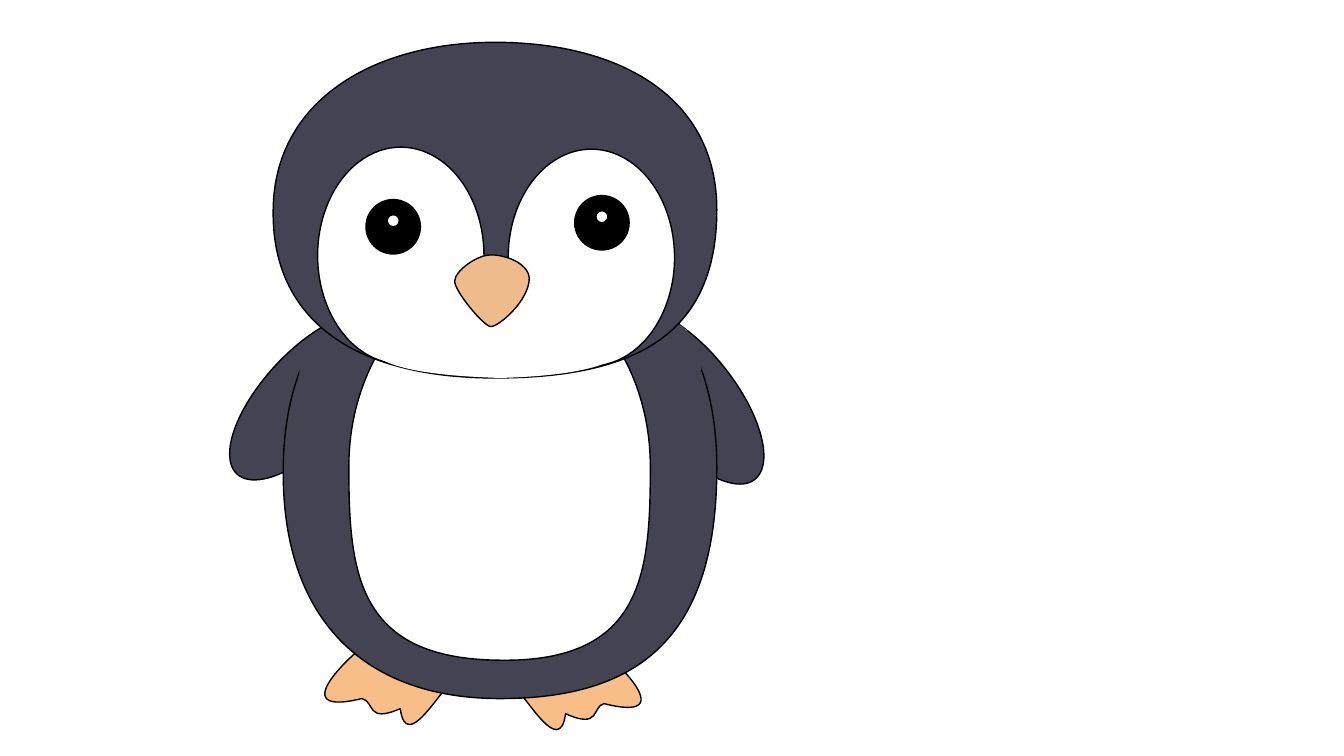
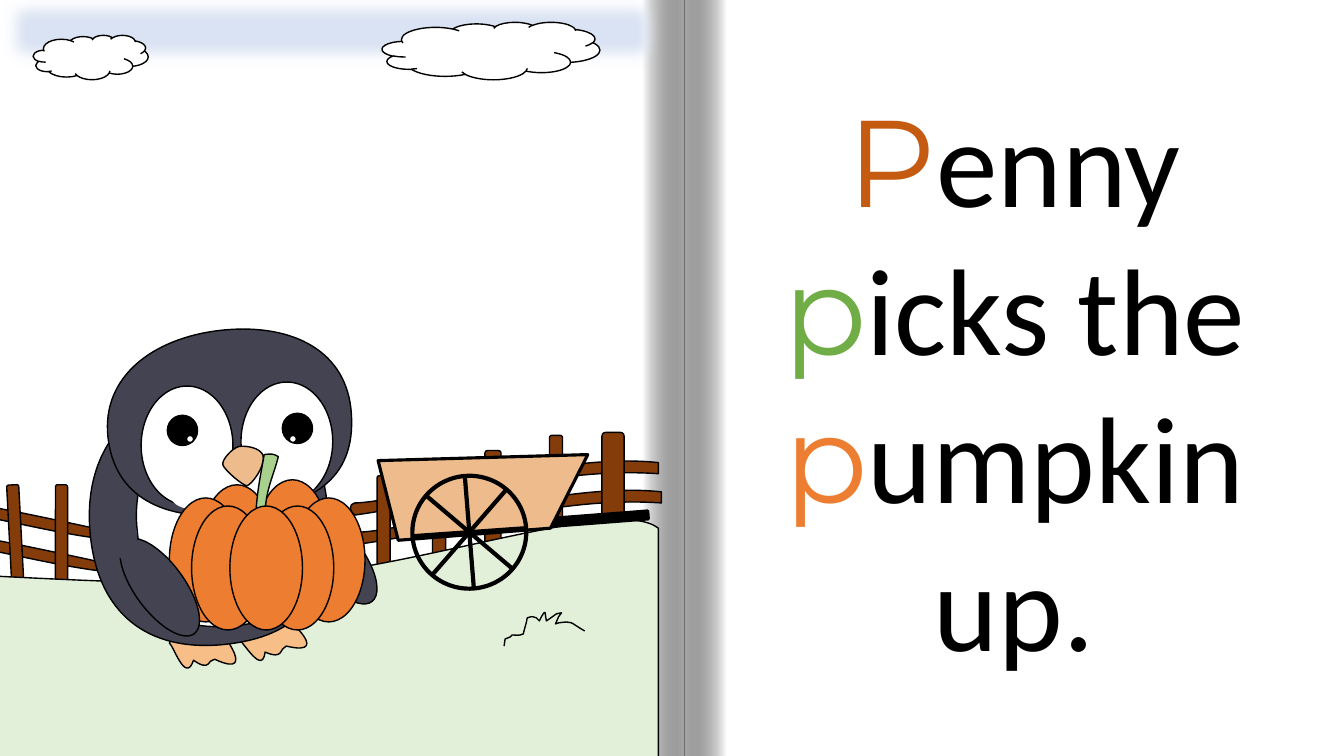
"""Build two storybook slides: a large penguin, and a penguin picking up a pumpkin."""
from lxml.etree import SubElement
from pptx import Presentation
from pptx.dml.color import RGBColor
from pptx.enum.shapes import MSO_CONNECTOR, MSO_SHAPE
from pptx.enum.text import MSO_ANCHOR, PP_ALIGN
from pptx.oxml.ns import qn
from pptx.util import Inches, Pt

WIDTH, HEIGHT = 13.33, 7.5
CURVE_STEPS = 16
COLORS = {
    "coat": "444352", "white": "FFFFFF", "black": "000000", "foot": "F8BE87",
    "tan": "EDBB8C", "wood": "843C0B", "grass": "E2F0D9", "sky": "DAE3F3",
    "pumpkin": "ED7D31", "stem": "A9D18E", "rust": "C55A11", "leaf": "70AD47",
}

PORTRAIT_WINGS = [(6.39, 2.89, 0.9, 2.09, 321.8), (2.61, 2.89, 0.9, 2.09, 42.7)]
PORTRAIT_FEET = [
    "M 3.8 6.29 L 4.23 6.22 L 4.46 6.8 C 4.37 6.83 4.03 7.48 3.97 7.03 "
    "C 3.63 7.18 3.72 6.96 3.59 6.93 C 2.69 7.15 3.71 6.27 3.8 6.29 Z",
    "M 5.79 6.34 L 5.35 6.27 L 5.12 6.85 C 5.21 6.88 5.55 7.53 5.61 7.08 "
    "C 5.96 7.24 5.87 7.01 5.99 6.98 C 6.89 7.21 5.87 6.32 5.79 6.34 Z",
]
PORTRAIT = {
    "body": "M 2.81 4.64 C 2.82 3.16 3.77 2.34 4.96 2.34 C 6.15 2.34 7.11 3.08 7.11 4.64 "
            "C 7.11 6.32 6.34 6.93 4.96 6.93 C 3.58 6.93 2.79 6.11 2.81 4.64 Z",
    "belly": "M 3.46 4.63 C 3.46 3.58 4.13 2.72 4.96 2.72 C 5.78 2.72 6.45 3.58 6.45 4.63 "
             "C 6.45 5.69 6.38 6.57 4.96 6.55 C 3.54 6.54 3.46 5.69 3.46 4.63 Z",
    "shoulders": [(6.59, 3.19, 0.34, 0.66, 339.9), (2.99, 3.24, 0.34, 0.66, 17.7)],
    "head": "M 2.71 2.08 C 2.72 1.01 3.69 0.42 4.91 0.42 C 6.13 0.42 7.11 0.95 7.11 2.08 "
            "C 7.11 3.31 6.32 3.75 4.91 3.75 C 3.5 3.75 2.69 3.16 2.71 2.08 Z",
    "patches": [(5.04, 1.48, 1.65, 2.15), (3.15, 1.46, 1.65, 2.15)],
    "pupils": [(5.7, 1.94, 0.54, 0.54), (3.63, 1.98, 0.54, 0.54)],
    "glints": [(5.91, 2.09, 0.12, 0.12), (3.84, 2.13, 0.12, 0.12)],
    "cheeks": "M 4.96 2.71 C 5.71 2.71 6.32 2.94 6.32 3.23 C 6.32 3.52 6.04 3.72 4.96 3.75 "
              "C 3.74 3.71 3.59 3.52 3.59 3.23 C 3.59 2.94 4.2 2.71 4.96 2.71 Z",
    "beak": "M 4.51 2.79 C 4.51 2.69 4.73 2.53 4.86 2.53 C 4.98 2.52 5.24 2.6 5.25 2.76 "
            "C 5.25 2.98 4.95 3.24 4.87 3.24 C 4.8 3.24 4.51 2.89 4.51 2.79 Z",
}

PICKER_WINGS = [(3.09, 4.94, 0.49, 1.15, 321.8)]
PICKER_FEET = [
    "M 2.09 6.17 L 1.86 6.09 L 1.68 6.38 C 1.72 6.4 1.84 6.79 1.92 6.55 "
    "C 2.09 6.67 2.06 6.54 2.13 6.54 C 2.6 6.76 2.14 6.17 2.09 6.17 Z",
    "M 2.73 6.06 L 2.49 6.02 L 2.36 6.34 C 2.41 6.35 2.6 6.71 2.63 6.47 "
    "C 2.82 6.55 2.77 6.43 2.84 6.41 C 3.34 6.53 2.77 6.05 2.73 6.06 Z",
]
PICKER = {
    "body": "M 0.89 5.23 C 0.84 4.42 1.33 3.93 1.98 3.88 C 2.63 3.84 3.19 4.2 3.25 5.06 "
            "C 3.32 5.98 2.92 6.34 2.16 6.4 C 1.41 6.45 0.94 6.04 0.89 5.23 Z",
    "belly": "M 1.36 5.25 C 1.3 4.67 1.63 4.16 2.1 4.11 C 2.56 4.06 2.99 4.49 3.05 5.07 "
             "C 3.11 5.65 3.12 6.13 2.32 6.21 C 1.51 6.28 1.42 5.83 1.36 5.25 Z",
    "shoulders": [(3.01, 4.44, 0.19, 0.36, 339.9)],
    "head": "M 1.07 4.33 C 1.01 3.74 1.51 3.36 2.17 3.28 C 2.84 3.2 3.41 3.44 3.48 4.05 "
            "C 3.55 4.72 3.15 5.01 2.38 5.1 C 1.61 5.19 1.13 4.92 1.07 4.33 Z",
    "patches": [(2.39, 3.79, 0.91, 1.18), (1.4, 3.83, 0.91, 1.18)],
    "pupils": [(2.8, 4.1, 0.3, 0.3), (1.66, 4.12, 0.3, 0.3)],
    "glints": [(2.87, 4.32, 0.07, 0.07), (1.85, 4.32, 0.07, 0.07)],
    "cheeks": "M 2.39 4.49 C 2.8 4.45 3.15 4.54 3.16 4.7 C 3.18 4.86 3.04 4.98 2.45 5.06 "
              "C 1.78 5.11 1.69 5.02 1.67 4.86 C 1.65 4.7 1.97 4.54 2.39 4.49 Z",
    "beak": "M 2.21 4.61 C 2.2 4.56 2.3 4.45 2.37 4.43 C 2.44 4.42 2.58 4.44 2.61 4.52 "
            "C 2.63 4.64 2.49 4.81 2.45 4.82 C 2.41 4.82 2.22 4.66 2.21 4.61 Z",
}
NEAR_WING = (1.34, 5.25, 0.49, 1.15, 323.6)
NEAR_SHOULDER = (1.16, 5.19, 0.19, 0.36, 17.7)

LOBE_SIZE = (0.72, 1.23)
BACK_LOBES = [(2.54, 4.76), (1.99, 4.81)]
FRONT_LOBES = [(2.9, 4.94), (1.68, 4.94), (2.59, 5.02), (1.9, 5.02), (2.28, 5.02)]
STEM = ("M 2.76 4.53 C 2.71 4.5 2.69 4.5 2.62 4.51 C 2.59 4.69 2.56 4.81 2.54 5.05 "
        "L 2.63 5.05 C 2.65 4.82 2.72 4.7 2.76 4.53 Z")

FENCES = [
    {"rail": "M 0.98 5.25 C -0.5 4.93 -2.05 4.59 -3.6 5.02 L -3.58 5.12 "
             "C -1.32 4.66 -0.16 5.19 0.97 5.34 C 1 5.32 1.01 5.28 0.98 5.25 Z",
     "step": (-0.01, 0.32),
     "posts": [(0.55, 4.81, 0.12, 0.96), (0.09, 4.81, 0.12, 0.95, 357)]},
    {"rail": "M 6.53 4.59 C 5.56 4.48 4.02 4.98 3.52 4.99 C 3.46 5 3.46 5.07 3.52 5.11 "
             "C 4.53 4.97 5.49 4.63 6.53 4.7 L 6.53 4.59 Z",
     "step": (0.03, 0.29),
     "posts": [(5.97, 4.29, 0.22, 0.94), (5.45, 4.32, 0.13, 0.94), (4.81, 4.47, 0.16, 0.94),
               (4.29, 4.57, 0.13, 0.94), (3.74, 4.72, 0.13, 0.93)]},
]
GROUND = ("M 6.53 5.24 C 6.09 4.9 4.09 5.69 2.4 5.77 C 0.71 5.86 -2.56 5.43 -3.63 5.77 "
          "L -3.6 7.6 L 6.53 7.6 L 6.53 5.24 Z")
TUFT = ("M 5.8 6.26 C 5.64 6.17 5.69 6.16 5.54 6.18 L 5.51 6.19 L 5.54 6.12 L 5.57 6.08 "
        "L 5.52 6.09 L 5.45 6.14 L 5.42 6.16 C 5.4 6.07 5.42 6.04 5.37 6.12 L 5.35 6.16 "
        "L 5.32 6.13 C 5.27 6.11 5.26 6.12 5.23 6.13 L 5.22 6.18 L 5.2 6.25 L 5.19 6.29 "
        "C 5.15 6.31 5.11 6.3 5.08 6.3 L 5.06 6.32 L 5.01 6.34 L 5 6.41")
CLOUDS = [(0.33, 0.35, 1.14, 0.44), (3.79, 0.22, 2.16, 0.57)]
CART = "M 3.75 4.57 L 5.83 4.51 L 5.46 5.24 L 3.95 5.36 L 3.75 4.57 Z"
HANDLE = (5.09, 5.12, 1.34, 0.08, 355.6)
WHEEL = (4.09, 4.72, 1.13, 1.12, 355.6)
SPOKES = [(4.61, 4.72, 4.7, 5.84), (4.09, 5.32, 5.22, 5.24),
          (4.23, 4.92, 5.08, 5.64), (5.02, 4.86, 4.29, 5.7)]

FOLD, FOLD_HALF = 6.79, 0.42
SENTENCE = [("P", "Montserrat", "rust"), ("enny ", "Calibri", "black"),
            ("p", "Montserrat", "leaf"), ("icks the ", "Calibri", "black"),
            ("p", "Montserrat", "pumpkin"), ("umpkin up.", "Calibri", "black")]


def rgb(name):
    return RGBColor.from_string(COLORS[name])


def paint(sp, fill, line=1, ink="black"):
    sp.shadow.inherit = False
    if fill:
        sp.fill.solid()
        sp.fill.fore_color.rgb = rgb(fill)
    else:
        sp.fill.background()
    if line:
        sp.line.color.rgb = rgb(ink)
        sp.line.width = Pt(line)
    else:
        sp.line.fill.background()
    return sp


def preset(slide, kind, box, fill, line=1, ink="black"):
    sp = slide.shapes.add_shape(kind, *map(Inches, box[:4]))
    if len(box) > 4:
        sp.rotation = box[4]
    return paint(sp, fill, line, ink)


def ovals(slide, boxes, fill, line=1):
    for box in boxes:
        preset(slide, MSO_SHAPE.OVAL, box, fill, line)


def bezier(a, b, c, d):
    for i in range(1, CURVE_STEPS + 1):
        t = i / CURVE_STEPS
        u = 1 - t
        yield tuple(round(u**3 * m + 3 * u * u * t * n + 3 * u * t * t * o + t**3 * q)
                    for m, n, o, q in zip(a, b, c, d))


def read_outline(text, shift):
    tokens = iter(text.split())
    counts = {"M": 1, "L": 1, "C": 3, "Z": 0}
    return [(command, [tuple(Inches(float(next(tokens)) + d) for d in shift)
                       for _ in range(counts[command])]) for command in tokens]


def outline(slide, text, fill, line=1, shift=(0, 0)):
    segments = read_outline(text, shift)
    edge = []
    for command, points in segments:
        edge.extend(bezier(edge[-1], *points) if command == "C" else points)
    builder = slide.shapes.build_freeform(*edge[0])
    builder.add_line_segments(edge[1:], close=False)
    sp = builder.convert_to_shape()
    trace = sp._element.spPr.find(".//" + qn("a:path"))
    for child in list(trace):
        trace.remove(child)
    tags = {"M": "a:moveTo", "L": "a:lnTo", "C": "a:cubicBezTo", "Z": "a:close"}
    for command, points in segments:
        node = SubElement(trace, qn(tags[command]))
        for x, y in points:
            SubElement(node, qn("a:pt"), x=str(x - sp.left), y=str(y - sp.top))
    return paint(sp, fill, line)


def penguin(slide, wings, feet, parts):
    ovals(slide, wings, "coat")
    for foot in feet:
        outline(slide, foot, "foot")
    outline(slide, parts["body"], "coat")
    outline(slide, parts["belly"], "white")
    ovals(slide, parts["shoulders"], "coat", 0)
    outline(slide, parts["head"], "coat")
    ovals(slide, parts["patches"], "white")
    ovals(slide, parts["pupils"], "black")
    ovals(slide, parts["glints"], "white")
    outline(slide, parts["cheeks"], "white", 0)
    outline(slide, parts["beak"], "tan")


def page_fold(slide):
    for left, angle in ((FOLD, 180), (FOLD - FOLD_HALF, 0)):
        sp = preset(slide, MSO_SHAPE.RECTANGLE, (left, 0, FOLD_HALF, HEIGHT), "white", 0)
        sp.fill.gradient()
        sp.fill.gradient_angle = angle
        for stop, name in zip(sp.fill.gradient_stops, ("white", "black")):
            stop.color.rgb = rgb(name)
        dark = sp._element.spPr.findall(".//" + qn("a:srgbClr"))[1]
        SubElement(dark, qn("a:alpha"), val="34000")


def sentence(slide):
    tf = slide.shapes.add_textbox(*map(Inches, (6.96, 0.79, 6.2, 6.02))).text_frame
    tf.word_wrap = True
    tf.vertical_anchor = MSO_ANCHOR.TOP
    p = tf.paragraphs[0]
    p.alignment = PP_ALIGN.CENTER
    for text, font, color in SENTENCE:
        r = p.add_run()
        r.text = text
        r.font.name, r.font.size = font, Pt(88)
        r.font.color.rgb = rgb(color)


def scenery(slide):
    sky = preset(slide, MSO_SHAPE.RECTANGLE, (-0.05, -0.12, 6.67, 0.85), "sky", 1, "sky")
    SubElement(sky._element.spPr.find(qn("a:effectLst")), qn("a:softEdge"),
               rad=str(Pt(12.5)))
    for box in CLOUDS:
        preset(slide, MSO_SHAPE.CLOUD, box, "white")
    for fence in FENCES:
        for shift in ((0, 0), fence["step"]):
            outline(slide, fence["rail"], "wood", 1, shift)
        for box in fence["posts"]:
            preset(slide, MSO_SHAPE.ROUNDED_RECTANGLE, box, "wood")
    outline(slide, GROUND, "grass")
    outline(slide, TUFT, None)


def pumpkin(slide):
    ovals(slide, [spot + LOBE_SIZE for spot in BACK_LOBES], "pumpkin")
    outline(slide, STEM, "stem")
    ovals(slide, [spot + LOBE_SIZE for spot in FRONT_LOBES], "pumpkin")


def cart(slide):
    preset(slide, MSO_SHAPE.RECTANGLE, HANDLE, "black", 2.25)
    outline(slide, CART, "tan", 2.25)
    ovals(slide, [WHEEL], None, 3)
    for ends in SPOKES:
        spoke = slide.shapes.add_connector(MSO_CONNECTOR.STRAIGHT, *map(Inches, ends))
        spoke.line.color.rgb = rgb("black")
        spoke.line.width = Pt(3)
        SubElement(spoke._element.spPr, qn("a:effectLst"))


def main():
    prs = Presentation()
    prs.slide_width, prs.slide_height = Inches(WIDTH), Inches(HEIGHT)
    portrait, story = (prs.slides.add_slide(prs.slide_layouts[6]) for _ in range(2))
    penguin(portrait, PORTRAIT_WINGS, PORTRAIT_FEET, PORTRAIT)
    page_fold(story)
    sentence(story)
    scenery(story)
    penguin(story, PICKER_WINGS, PICKER_FEET, PICKER)
    pumpkin(story)
    ovals(story, [NEAR_WING], "coat")
    ovals(story, [NEAR_SHOULDER], "coat", 0)
    cart(story)
    prs.save("out.pptx")


if __name__ == "__main__":
    main()
